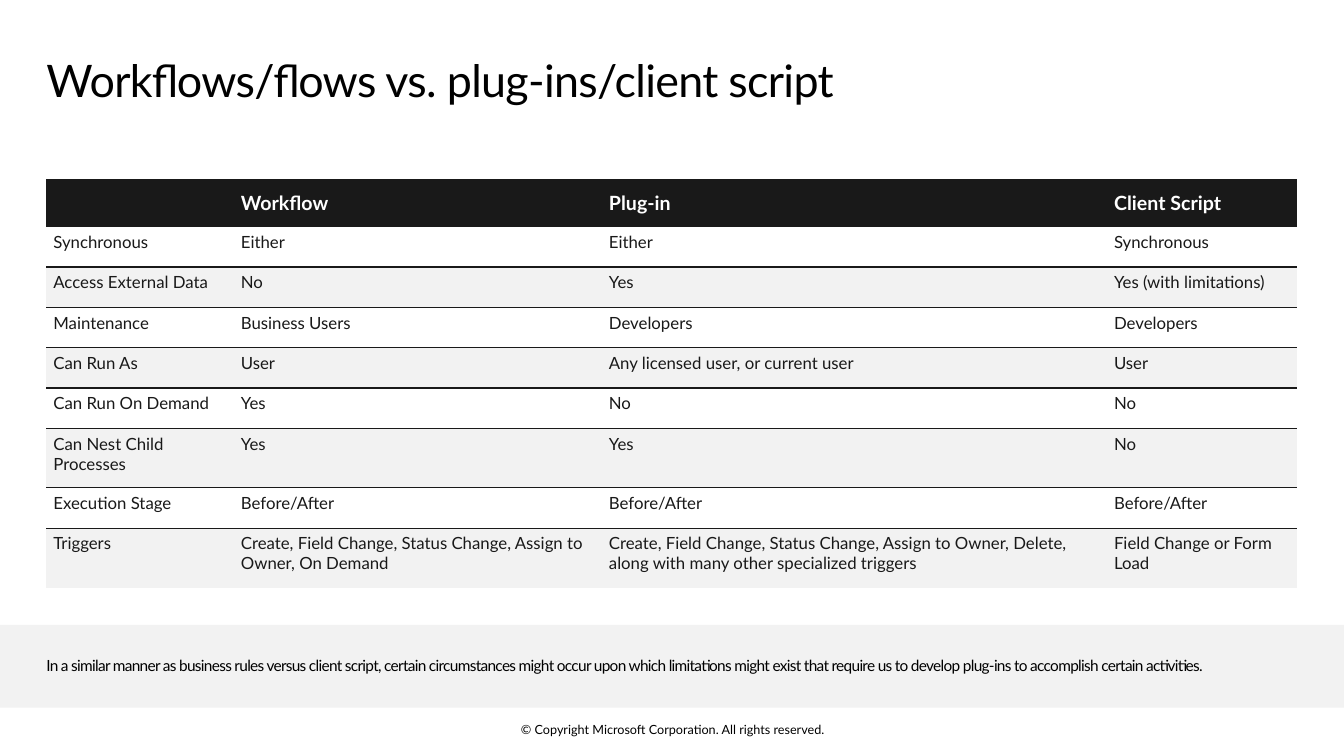
from lxml import etree
from pptx import Presentation
from pptx.dml.color import RGBColor
from pptx.enum import shapes, text
from pptx.oxml import ns
from pptx.util import Inches, Pt

COLORS = {"ink": "191919", "band": "F2F2F2", "white": "FFFFFF", "black": "000000"}
FONT = "Lato"
NO_STYLE = "{2D5ABB26-0587-4C30-8999-92F81FD0307C}"
MARGIN, CONTENT_W = 0.46, 12.4
TABLE_TOP = 1.78
COL_WIDTHS = [1.86, 3.65, 5.01, 1.88]
HEADER_H, ROW_H, TALL_ROW_H = 0.47, 0.4, 0.59
TALL_ROWS = {"Can Nest Child Processes", "Triggers"}

TITLE = "Workflows/flows vs. plug-ins/client script"
NOTE = ("In a similar manner as business rules versus client script, certain circumstances "
        "might occur upon which limitations might exist that require us to develop plug-ins "
        "to accomplish certain activities.")
COPYRIGHT = "© Copyright Microsoft Corporation. All rights reserved."
ROWS = [
    ("", "Workflow", "Plug-in", "Client Script"),
    ("Synchronous", "Either", "Either", "Synchronous"),
    ("Access External Data", "No", "Yes", "Yes (with limitations)"),
    ("Maintenance", "Business Users", "Developers", "Developers"),
    ("Can Run As", "User", "Any licensed user, or current user", "User"),
    ("Can Run On Demand", "Yes", "No", "No"),
    ("Can Nest Child Processes", "Yes", "Yes", "No"),
    ("Execution Stage", "Before/After", "Before/After", "Before/After"),
    ("Triggers", "Create, Field Change, Status Change, Assign to Owner, On Demand",
     "Create, Field Change, Status Change, Assign to Owner, Delete, "
     "along with many other specialized triggers", "Field Change or Form Load"),
]


def rgb(name):
    return RGBColor.from_string(COLORS[name])


def set_font(p, size, color, bold=False):
    p.font.name, p.font.size, p.font.bold = FONT, Pt(size), bold
    p.font.color.rgb = rgb(color)


def set_margins(target, left, top, right, bottom):
    target.margin_left, target.margin_top = Inches(left), Inches(top)
    target.margin_right, target.margin_bottom = Inches(right), Inches(bottom)


def add_text(s, box, words, size, margins, anchor, spacing=None):
    """Add a one-paragraph text box; spacing is tracking in points."""
    tf = s.shapes.add_textbox(*map(Inches, box)).text_frame
    tf.word_wrap, tf.vertical_anchor = True, anchor
    set_margins(tf, *margins)
    p = tf.paragraphs[0]
    r = p.add_run()
    r.text = words
    set_font(p, size, "black")
    if spacing:
        p.line_spacing = 0.9
        r._r.get_or_add_rPr().set("spc", str(int(spacing * 100)))
    return p


def add_border(cell, side):
    """Draw a 1 pt line on one side: lnT for top, lnB for bottom."""
    ln = etree.Element(ns.qn("a:" + side), w=str(Pt(1)))
    fill = etree.SubElement(ln, ns.qn("a:solidFill"))
    etree.SubElement(fill, ns.qn("a:srgbClr"), val=COLORS["ink"])
    cell._tc.get_or_add_tcPr().insert(0, ln)


def fill_cell(cell, words, row):
    header, banded = row == 0, row > 0 and row % 2 == 0
    cell.text = words
    set_margins(cell, 0.07, 0.1 if header else 0.05, 0.05, 0.1)
    cell.vertical_anchor = text.MSO_ANCHOR.MIDDLE if header else text.MSO_ANCHOR.TOP
    set_font(cell.text_frame.paragraphs[0], 14 if header else 12,
             "white" if header else "ink", header)
    if header or banded:
        cell.fill.solid()
        cell.fill.fore_color.rgb = rgb("ink" if header else "band")
    else:
        cell.fill.background()
    if not header:
        add_border(cell, "lnT" if banded else "lnB")


def add_comparison(s):
    heights = [HEADER_H] + [TALL_ROW_H if r[0] in TALL_ROWS else ROW_H for r in ROWS[1:]]
    box = (MARGIN, TABLE_TOP, CONTENT_W, sum(heights))
    sp = s.shapes.add_table(len(ROWS), len(COL_WIDTHS), *map(Inches, box))
    table = sp.table
    table.horz_banding = False
    next(sp.element.iter(ns.qn("a:tableStyleId"))).text = NO_STYLE
    for col, width in zip(table.columns, COL_WIDTHS):
        col.width = Inches(width)
    for i, (row, height) in enumerate(zip(ROWS, heights)):
        table.rows[i].height = Inches(height)
        for j, words in enumerate(row):
            fill_cell(table.cell(i, j), words, i)


def main():
    prs = Presentation()
    prs.slide_width, prs.slide_height = Inches(13.33), Inches(7.5)
    s = prs.slides.add_slide(prs.slide_layouts[6])

    band = s.shapes.add_shape(shapes.MSO_SHAPE.RECTANGLE, 0, Inches(6.2),
                              prs.slide_width, Inches(0.82))
    band.shadow.inherit = False
    band.fill.solid()
    band.fill.fore_color.rgb = rgb("band")
    band.line.fill.background()

    margins = (0, 0.1, 0.16, 0.1)
    add_text(s, (MARGIN, 0.48, CONTENT_W, 0.74), TITLE, 32, margins,
             text.MSO_ANCHOR.TOP, -0.5)
    add_comparison(s)
    add_text(s, (MARGIN, 6.34, CONTENT_W, 0.54), NOTE, 11, margins,
             text.MSO_ANCHOR.MIDDLE, -0.5)
    p = add_text(s, (4.42, 7.16, 4.5, 0.15), COPYRIGHT, 9, (0, 0, 0, 0),
                 text.MSO_ANCHOR.MIDDLE)
    p.alignment = text.PP_ALIGN.CENTER
    prs.save("out.pptx")


if __name__ == "__main__":
    main()
